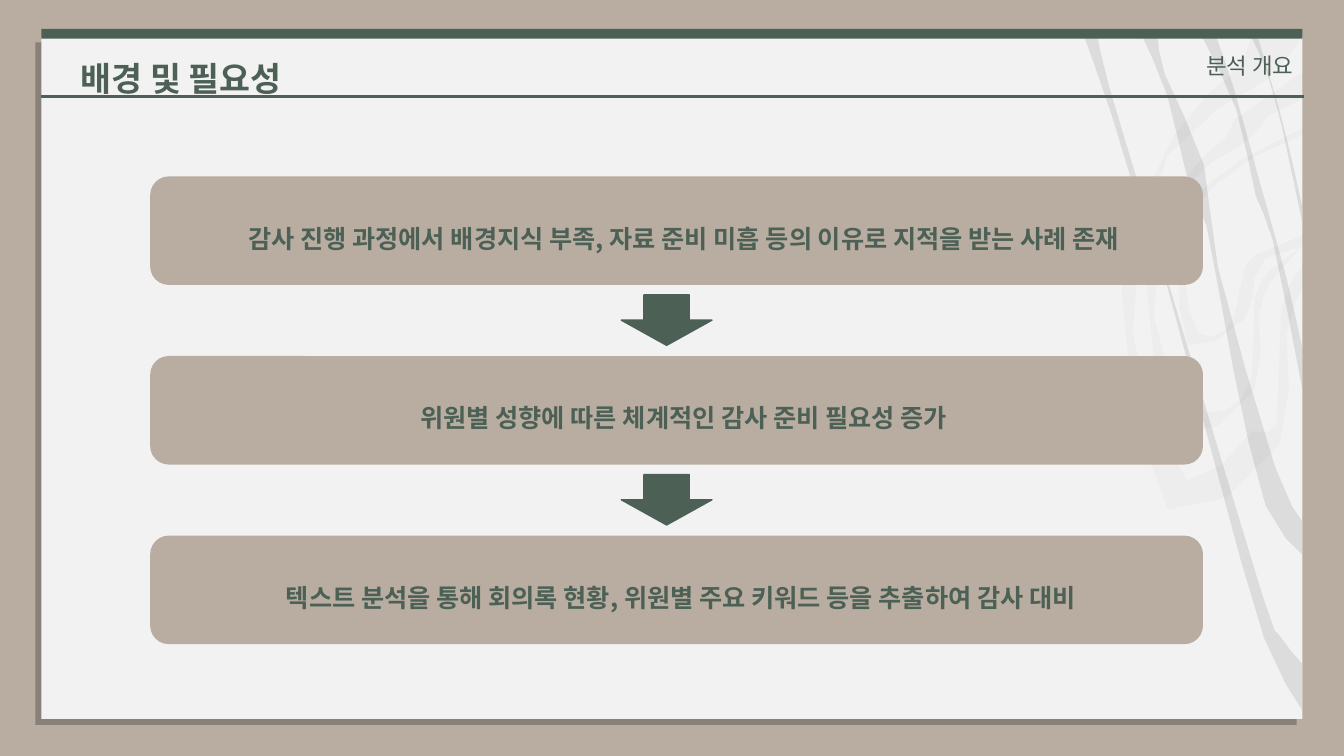
"""Build the background and necessity slide: three statements linked by arrows."""
from lxml import etree
from pptx import Presentation
from pptx.dml.color import RGBColor
from pptx.enum.shapes import MSO_CONNECTOR, MSO_SHAPE
from pptx.enum.text import MSO_ANCHOR, MSO_AUTO_SIZE, PP_ALIGN
from pptx.oxml.ns import qn
from pptx.util import Pt

RECTANGLE, ROUNDED = MSO_SHAPE.RECTANGLE, MSO_SHAPE.ROUNDED_RECTANGLE
DOWN_ARROW, STRAIGHT = MSO_SHAPE.DOWN_ARROW, MSO_CONNECTOR.STRAIGHT
TOP, MIDDLE, NO_AUTOFIT = MSO_ANCHOR.TOP, MSO_ANCHOR.MIDDLE, MSO_AUTO_SIZE.NONE
LEFT, CENTER, RIGHT = PP_ALIGN.LEFT, PP_ALIGN.CENTER, PP_ALIGN.RIGHT

TAUPE = RGBColor(0xB9, 0xAD, 0xA1)
GREEN = RGBColor(0x4C, 0x60, 0x55)
PAPER = RGBColor(0xF2, 0xF2, 0xF2)
BLACK = RGBColor(0, 0, 0)
FONT = "Noto Sans CJK KR"

TITLE = "배경 및 필요성"
SECTION = "분석 개요"
STATEMENTS = [
    "감사 진행 과정에서 배경지식 부족, 자료 준비 미흡 등의 이유로 지적을 받는 사례 존재",
    "위원별 성향에 따른 체계적인 감사 준비 필요성 증가",
    "텍스트 분석을 통해 회의록 현황, 위원별 주요 키워드 등을 추출하여 감사 대비 ",
]

PANEL = (29.6, 26, 900.8, 487.6)
TOP_BAR = (29.6, 20.7, 900.8, 7)
TITLE_AREA = (50.4, 23.6, 288.7, 45.4)
SECTION_AREA = (642.3, 23.9, 288.7, 32.4)
RULE = (29.6, 68.7, 931.7, 68.7)
BOX_LEFT, BOX_TOP, BOX_WIDTH, BOX_HEIGHT, BOX_STEP = 107.8, 126.5, 751, 76.5, 128.3
ARROW_LEFT, ARROW_DROP, ARROW_WIDTH, ARROW_HEIGHT = 443.8, 84.2, 64.8, 36

STRANDS = [
    [[(827, 26), (832, 53), (860, 118), (870, 191), (911, 334), (930, 372)],
     [(930, 396), (904, 361), (881, 264), (862, 162), (849, 131), (834, 69), (816, 26)]],
    [[(869, 27), (881, 62), (899, 127), (919, 199), (930, 248)],
     [(930, 277), (909, 171), (897, 140), (883, 78), (859, 27)]],
    [[(784, 26), (792, 61), (821, 157), (846, 240), (902, 426), (914, 454), (930, 474)],
     [(930, 507), (903, 456), (869, 336), (833, 202), (817, 158), (794, 82), (774, 25)]],
    [[(898, 25), (914, 79), (925, 124), (930, 147)],
     [(930, 158), (919, 106), (914, 84), (904, 49), (893, 25)]],
]
RINGS = [
    [[(931, 25), (905, 57), (834, 111), (809, 238), (848, 343), (894, 308), (912, 303),
      (915, 220), (931, 189)],
     [(931, 204), (919, 238), (914, 318), (834, 364), (801, 208), (839, 96), (883, 50),
      (894, 25)]],
    [[(931, 51), (930, 71)],
     [(907, 82), (889, 102), (841, 139), (824, 225), (848, 286), (876, 293), (894, 269),
      (896, 213), (907, 193)],
     [(930, 176), (907, 202)],
     [(906, 204), (899, 225), (896, 279), (841, 310), (819, 205), (845, 129), (875, 99),
      (881, 86)]],
    [[(931, 91), (931, 96)],
     [(896, 112), (882, 122), (856, 146), (846, 197), (856, 238), (875, 236), (883, 220),
      (889, 191), (899, 181)],
     [(931, 168), (930, 176), (904, 185)],
     [(896, 199), (889, 228), (849, 247), (842, 186), (849, 146), (876, 122), (885, 115)]],
]


def lengths(values):
    return [Pt(value) for value in values]


def smooth(edge):
    """Return the edge's points with one rounded midpoint in each span."""
    if len(edge) < 4:
        return edge
    padded = [edge[0], *edge, edge[-1]]
    curve = []
    for a, b, c, d in zip(padded, padded[1:], padded[2:], padded[3:]):
        middle = tuple((9 * (q + r) - p - s) / 16 for p, q, r, s in zip(a, b, c, d))
        curve += [b, middle]
    return curve + [edge[-1]]


def set_alpha(color, percent):
    etree.SubElement(color, qn("a:alpha"), val=str(percent * 1000))


def paint(shape, fill, outlined=False):
    shape.shadow.inherit = False
    shape.fill.solid()
    shape.fill.fore_color.rgb = fill
    if outlined:
        shape.line.color.rgb = fill
        shape.line.width = Pt(1)
    else:
        shape.line.fill.background()


def add_block(page, kind, area, fill, outlined=False):
    shape = page.shapes.add_shape(kind, *lengths(area))
    paint(shape, fill, outlined)
    return shape


def add_ribbon(page, edges, percent):
    points = [tuple(lengths(point)) for edge in edges for point in smooth(edge)]
    builder = page.shapes.build_freeform(*points[0])
    builder.add_line_segments(points[1:], close=True)
    ribbon = builder.convert_to_shape()
    paint(ribbon, BLACK)
    set_alpha(ribbon._element.spPr.find(".//" + qn("a:srgbClr")), percent)


def add_panel_shadow(panel):
    effects = panel._element.spPr.find(qn("a:effectLst"))
    shadow = etree.SubElement(effects, qn("a:outerShdw"), blurRad="0", dist=str(Pt(6)),
                              dir=str(135 * 60000), algn="tr", rotWithShape="0")
    set_alpha(etree.SubElement(shadow, qn("a:srgbClr"), val=str(BLACK)), 25)


def write(shape, text, size, align, bold, anchor=TOP):
    frame = shape.text_frame
    frame.text = text
    frame.word_wrap = True
    frame.auto_size = NO_AUTOFIT
    frame.vertical_anchor = anchor
    para = frame.paragraphs[0]
    para.alignment = align
    para.line_spacing = 1.5
    para.space_before = Pt(0)
    font = para.runs[0].font
    font.size, font.bold, font.name = Pt(size), bold, FONT
    font.color.rgb = GREEN
    etree.SubElement(font._element, qn("a:ea"), typeface=FONT)


def main():
    deck = Presentation()
    deck.slide_width, deck.slide_height = Pt(960), Pt(540)
    page = deck.slides.add_slide(deck.slide_layouts[5])
    page.background.fill.solid()
    page.background.fill.fore_color.rgb = TAUPE

    add_panel_shadow(add_block(page, RECTANGLE, PANEL, PAPER))
    for ribbons, percent in ((STRANDS, 9), (RINGS, 2)):
        for edges in ribbons:
            add_ribbon(page, edges, percent)
    add_block(page, RECTANGLE, TOP_BAR, GREEN)

    title = page.shapes.title
    title.left, title.top, title.width, title.height = lengths(TITLE_AREA)
    write(title, TITLE, 24, LEFT, True)
    page.shapes._spTree.append(title._element)
    section = page.shapes.add_textbox(*lengths(SECTION_AREA))
    write(section, SECTION, 16, RIGHT, False)

    for index, statement in enumerate(STATEMENTS):
        top = BOX_TOP + index * BOX_STEP
        box = add_block(page, ROUNDED, (BOX_LEFT, top, BOX_WIDTH, BOX_HEIGHT), TAUPE, True)
        write(box, statement, 18, CENTER, True, MIDDLE)
        box.text_frame.margin_left = Pt(17.2)
        if index < len(STATEMENTS) - 1:
            area = (ARROW_LEFT, top + ARROW_DROP, ARROW_WIDTH, ARROW_HEIGHT)
            add_block(page, DOWN_ARROW, area, GREEN, True)

    rule = page.shapes.add_connector(STRAIGHT, *lengths(RULE))
    rule.line.color.rgb = GREEN
    rule.line.width = Pt(2.25)
    etree.SubElement(rule._element.spPr, qn("a:effectLst"))
    deck.save("out.pptx")


if __name__ == "__main__":
    main()
